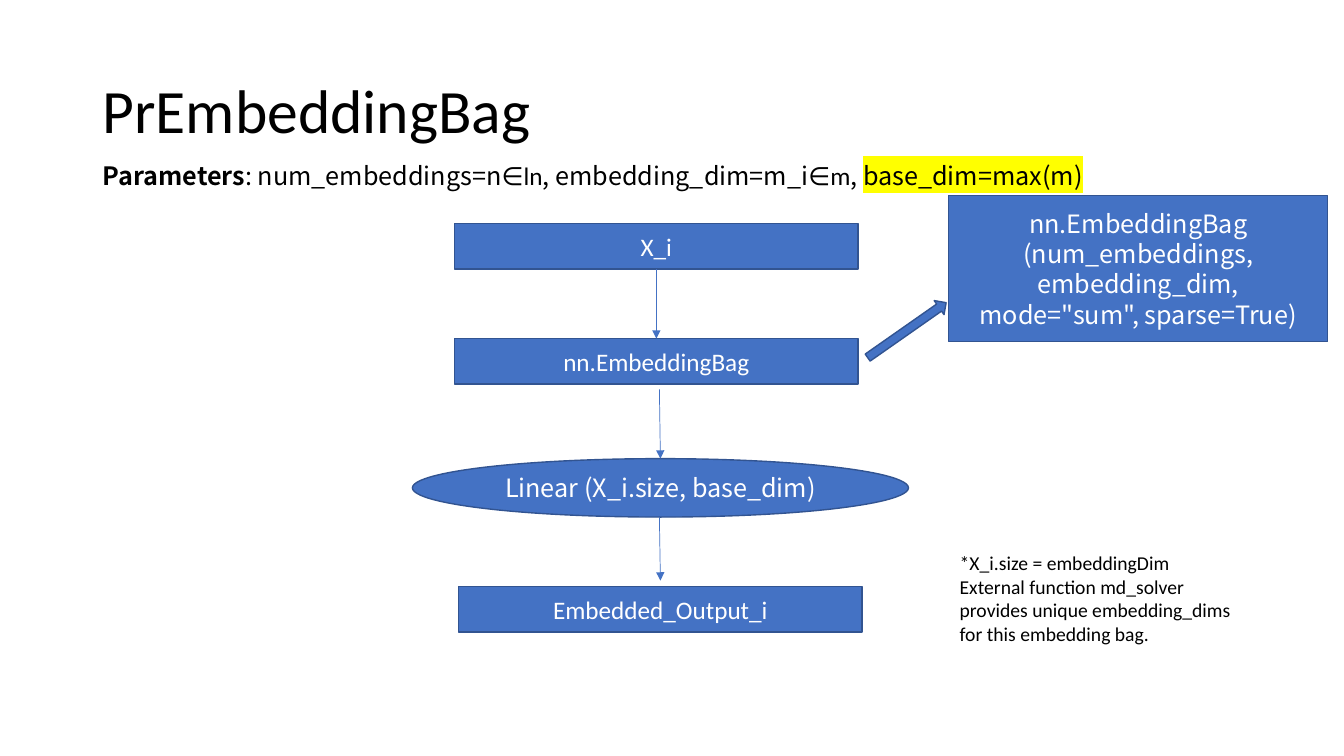
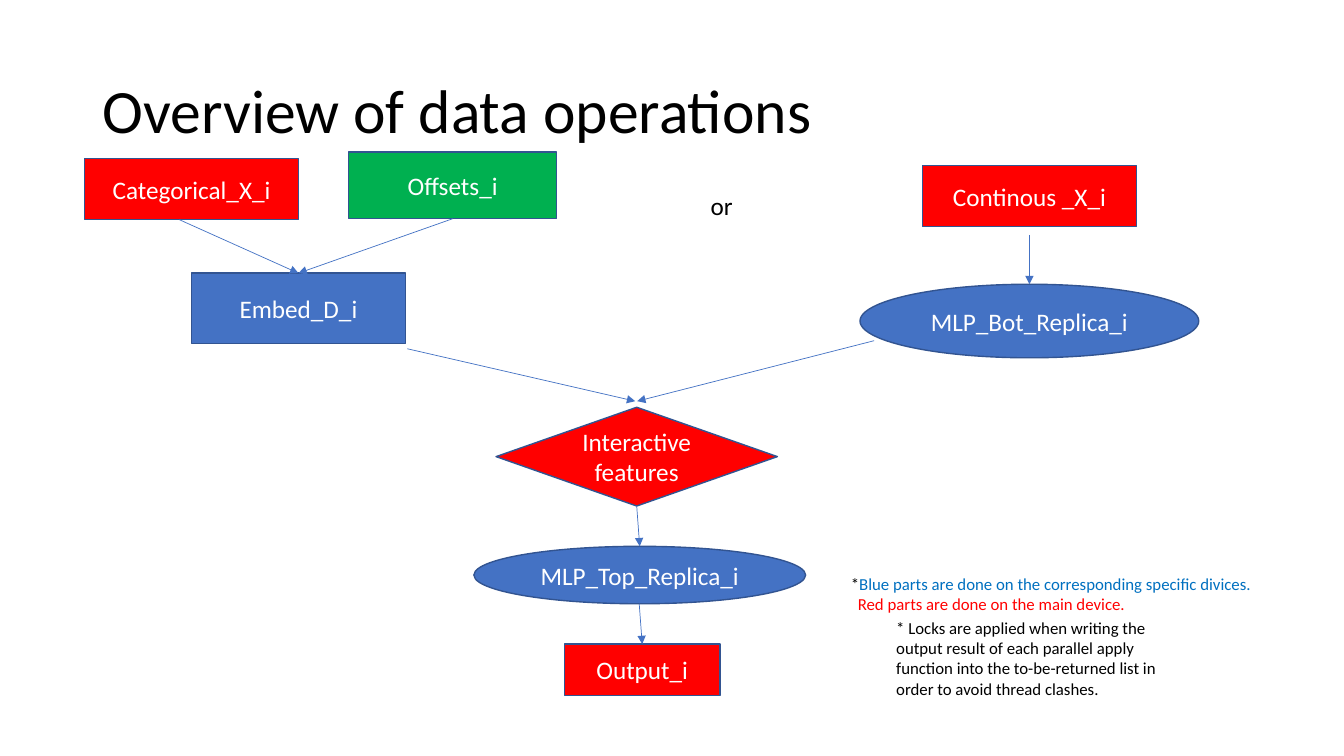
from dataclasses import dataclass

from lxml import etree
from pptx import Presentation
from pptx import util as u
from pptx.dml.color import RGBColor
from pptx.enum import shapes, text
from pptx.oxml import ns

KIND = shapes.MSO_SHAPE
TOP, BOTTOM = 0, 2


@dataclass(frozen=True)
class Theme:
    blue: str = "4472C4"
    edge: str = "325491"
    red: str = "FF0000"
    green: str = "00B050"
    sky: str = "0070C0"
    ink: str = "000000"
    white: str = "FFFFFF"
    mark: str = "FFFF00"
    font: str = "Calibri"
    code: str = "Noto Sans CJK SC"
    head: int = 44
    body: int = 18
    note: int = 14
    small: int = 12
    edge_w: float = 1
    arrow_w: float = 0.5


T = Theme()


def child(parent, tag, **attrs):
    return etree.SubElement(parent, ns.qn(tag), attrs)


class Deck:
    def __init__(self):
        self.prs = Presentation()
        self.prs.slide_width = u.Inches(13.33)
        self.prs.slide_height = u.Inches(7.5)
        self.slide = None

    def page(self, title):
        self.slide = self.prs.slides.add_slide(self.prs.slide_layouts[6])
        frame = self.label((0.92, 0.4, 11.5, 1.45), [title], T.head)
        frame.auto_size = text.MSO_AUTO_SIZE.NONE
        frame.vertical_anchor = text.MSO_ANCHOR.MIDDLE
        frame.paragraphs[0].line_spacing = 0.9

    def put(self, frame, paras, **base):
        """Each paragraph is a string or a list of (string, format) runs."""
        frame.word_wrap = True
        for i, runs in enumerate(paras):
            para = frame.add_paragraph() if i else frame.paragraphs[0]
            for words, extra in [(runs, {})] if isinstance(runs, str) else runs:
                style = {"name": T.font, "color": T.ink, **base, **extra}
                color, mark = style.pop("color"), style.pop("mark", None)
                run = para.add_run()
                run.text = words
                for key, value in style.items():
                    setattr(run.font, key, value)
                run.font.color.rgb = RGBColor.from_string(color)
                if mark:
                    light = etree.Element(ns.qn("a:highlight"))
                    child(light, "a:srgbClr", val=mark)
                    fill = run.font._element.find(ns.qn("a:solidFill"))
                    fill.addnext(light)

    def label(self, at, paras, size):
        frame = self.slide.shapes.add_textbox(*map(u.Inches, at)).text_frame
        self.put(frame, paras, size=u.Pt(size))
        frame.auto_size = text.MSO_AUTO_SIZE.SHAPE_TO_FIT_TEXT
        return frame

    def node(self, at, words="", fill=T.blue, kind=KIND.RECTANGLE, font=T.font):
        shape = self.slide.shapes.add_shape(kind, *map(u.Inches, at))
        shape.shadow.inherit = False
        shape.fill.solid()
        shape.fill.fore_color.rgb = RGBColor.from_string(fill)
        shape.line.color.rgb = RGBColor.from_string(T.edge)
        shape.line.width = u.Pt(T.edge_w)
        if words:
            frame = shape.text_frame
            self.put(frame, [words], size=u.Pt(T.body), name=font, color=T.white)
            frame.vertical_anchor = text.MSO_ANCHOR.MIDDLE
            frame.paragraphs[0].alignment = text.PP_ALIGN.CENTER
        return shape

    def arrow(self, start, end):
        """Each end is an (x, y) point or a (shape, side) joint."""
        free = [not hasattr(a, "left") for a, _ in (start, end)]
        spots = [u.Inches(v) for spot, plain in zip((start, end), free)
                 for v in (spot if plain else (0, 0))]
        line = self.slide.shapes.add_connector(shapes.MSO_CONNECTOR.STRAIGHT, *spots)
        if not free[0]:
            line.begin_connect(*start)
        if not free[1]:
            line.end_connect(*end)
        line.line.color.rgb = RGBColor.from_string(T.blue)
        line.line.width = u.Pt(T.arrow_w)
        child(line.line._get_or_add_ln(), "a:tailEnd", type="triangle")
        child(line._element.spPr, "a:effectLst")


def bag(deck):
    deck.page("PrEmbeddingBag")
    source = deck.node((4.51, 2.22, 4, 0.45), "X_i")
    embed = deck.node((4.51, 3.36, 4, 0.45), "nn.EmbeddingBag")
    deck.node((4.55, 5.82, 4, 0.45), "Embedded_Output_i")
    linear = deck.node((4.09, 4.55, 4.92, 0.58), "Linear (X_i.size, base_dim)",
                       kind=KIND.OVAL, font=T.code)
    deck.arrow((source, BOTTOM), (embed, TOP))
    deck.arrow((6.54, 3.86), (linear, TOP))
    deck.arrow((6.54, 5.13), (6.55, 5.76))
    deck.label((9.42, 5.42, 3, 1.04), [
        "*X_i.size = embeddingDim",
        "External function md_solver provides unique embedding_dims "
        "for this embedding bag."], T.note)
    deck.node((8.52, 3.19, 0.95, 0.17), kind=KIND.RIGHT_ARROW).rotation = 325
    deck.node((9.41, 1.94, 3.76, 1.45),
              'nn.EmbeddingBag (num_embeddings, embedding_dim, mode="sum", sparse=True)',
              font=T.code)
    code = {"name": T.code}
    deck.label((0.92, 1.54, 12.34, 0.4), [[
        ("Parameters", {**code, "bold": True}),
        (": num_embeddings=n", code), ("∈ln", {}),
        (", embedding_dim=m_i", code), ("∈m", {}), (", ", code),
        ("base_dim=max(m)", {**code, "mark": T.mark})]], T.body)


def flow(deck):
    deck.page("Overview of data operations")
    bot = deck.node((8.53, 2.82, 3.36, 0.73), "MLP_Bot_Replica_i", kind=KIND.OVAL)
    top = deck.node((4.7, 5.42, 3.29, 0.57), "MLP_Top_Replica_i", kind=KIND.OVAL)
    mix = deck.node((4.92, 4.04, 2.79, 0.98), "Interactive features", T.red,
                    KIND.DIAMOND)
    out = deck.node((5.6, 6.39, 1.54, 0.51), "Output_i", T.red)
    deck.node((9.15, 1.64, 2.12, 0.61), "Continous _X_i", T.red)
    embed = deck.node((1.9, 2.71, 2.12, 0.7), "Embed_D_i")
    deck.node((0.84, 1.57, 2.12, 0.61), "Categorical_X_i", T.red)
    offset = deck.node((3.46, 1.51, 2.06, 0.66), "Offsets_i", T.green)
    for start, end in (
            ((1.78, 2.18), (embed, TOP)),
            ((offset, BOTTOM), (embed, TOP)),
            ((10.21, 2.33), (bot, TOP)),
            ((4.04, 3.46), (6.3, 3.98)),
            ((8.67, 3.38), (6.32, 3.98)),
            ((mix, BOTTOM), (top, TOP)),
            ((6.34, 5.99), (out, TOP))):
        deck.arrow(start, end)
    deck.label((8.79, 6.08, 3, 0.91), [
        "* Locks are applied when writing the output result of each parallel apply "
        "function into the to-be-returned list in order to avoid thread clashes."],
        T.small)
    key = deck.label((8.34, 5.64, 4.9, 0.5), [
        [("*", {}), ("Blue parts are done on the corresponding specific divices.",
                     {"color": T.sky})],
        [("Red parts are done on the main device.", {"color": T.red})]], T.small)
    key.paragraphs[1]._p.get_or_add_pPr().set("marL", str(u.Inches(0.07)))
    deck.label((6.95, 1.84, 3, 0.4), ["or"], T.body)


def main():
    deck = Deck()
    bag(deck)
    flow(deck)
    deck.prs.save("out.pptx")


if __name__ == "__main__":
    main()
